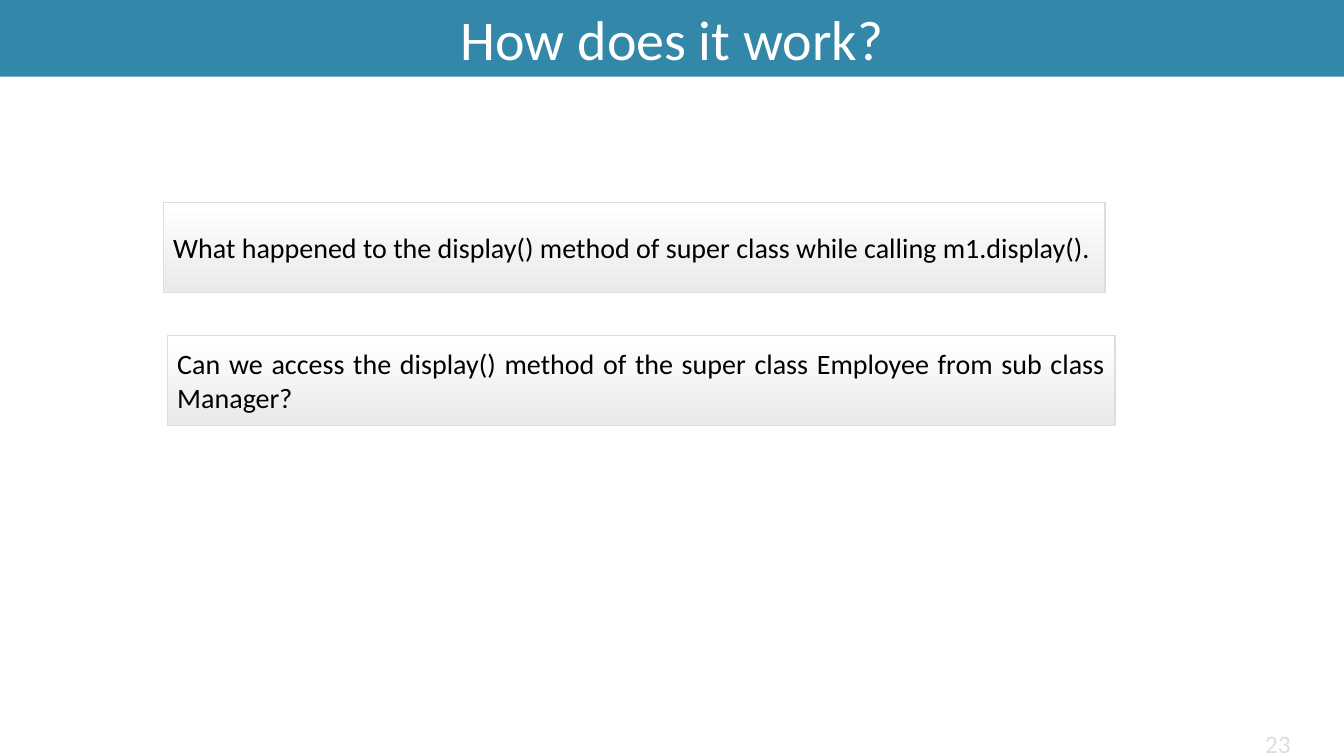
"""Build the slide asking how method overriding works."""
from dataclasses import dataclass

from pptx import Presentation
from pptx.dml.color import RGBColor
from pptx.enum.shapes import MSO_SHAPE
from pptx.enum.text import MSO_ANCHOR, PP_ALIGN
from pptx.shapes.autoshape import Shape
from pptx.slide import Slide
from pptx.util import Inches, Pt

RECTANGLE = MSO_SHAPE.RECTANGLE
MIDDLE = MSO_ANCHOR.MIDDLE
CENTER, JUSTIFY, RIGHT = PP_ALIGN.CENTER, PP_ALIGN.JUSTIFY, PP_ALIGN.RIGHT
BLANK_LAYOUT = 6
SLIDE_WIDTH, SLIDE_HEIGHT = 13.33, 7.5


@dataclass(frozen=True)
class Theme:
    font: str = "Calibri"
    banner: RGBColor = RGBColor(0x33, 0x88, 0xA9)
    title: RGBColor = RGBColor(0xFF, 0xFF, 0xFF)
    text: RGBColor = RGBColor(0x00, 0x00, 0x00)
    box_top: RGBColor = RGBColor(0xFF, 0xFF, 0xFF)
    box_bottom: RGBColor = RGBColor(0xEA, 0xEA, 0xEA)
    border: RGBColor = RGBColor(0xDD, 0xDD, 0xDD)
    title_size: int = 40
    text_size: int = 20
    number_size: int = 18


@dataclass(frozen=True)
class Label:
    text: str
    left: float
    top: float
    width: float
    height: float
    size: int
    color: RGBColor
    alignment: PP_ALIGN
    vertical_margin: float


THEME = Theme()


def question(text: str, left: float, top: float, width: float) -> Label:
    return Label(text, left, top, width, 0.89, THEME.text_size, THEME.text, JUSTIFY, 0.1)


TITLE = Label("How does it work?", 0, 0, SLIDE_WIDTH, 0.76,
              THEME.title_size, THEME.title, CENTER, 0.05)
NUMBER = Label("23", 11.9, 7.26, 1, 0.24, THEME.number_size, THEME.border, RIGHT, 0)
QUESTIONS = (
    question("What happened to the display() method of super class while calling m1.display().",
             1.62, 2.01, 9.34),
    question("Can we access the display() method of the super class Employee "
             "from sub class Manager?", 1.66, 3.33, 9.4),
)


def add_label(slide: Slide, label: Label) -> Shape:
    shape = slide.shapes.add_shape(RECTANGLE, Inches(label.left), Inches(label.top),
                                   Inches(label.width), Inches(label.height))
    shape.shadow.inherit = False
    shape.fill.background()
    shape.line.fill.background()
    frame = shape.text_frame
    frame.word_wrap = True
    frame.vertical_anchor = MIDDLE
    frame.margin_left = frame.margin_right = Inches(0.1)
    frame.margin_top = frame.margin_bottom = Inches(label.vertical_margin)
    frame.text = label.text
    paragraph = frame.paragraphs[0]
    paragraph.alignment = label.alignment
    font = paragraph.runs[0].font
    font.name = THEME.font
    font.size = Pt(label.size)
    font.color.rgb = label.color
    return shape


def add_question(slide: Slide, label: Label) -> None:
    shape = add_label(slide, label)
    shape.fill.gradient()
    shape.fill.gradient_angle = 270
    for stop, color in zip(shape.fill.gradient_stops, (THEME.box_top, THEME.box_bottom)):
        stop.color.rgb = color
    shape.line.color.rgb = THEME.border
    shape.line.width = Pt(1)


def main() -> None:
    presentation = Presentation()
    presentation.slide_width = Inches(SLIDE_WIDTH)
    presentation.slide_height = Inches(SLIDE_HEIGHT)
    slide = presentation.slides.add_slide(presentation.slide_layouts[BLANK_LAYOUT])
    for label in QUESTIONS:
        add_question(slide, label)
    banner = add_label(slide, TITLE)
    banner.fill.solid()
    banner.fill.fore_color.rgb = THEME.banner
    add_label(slide, NUMBER)
    presentation.save("out.pptx")


if __name__ == "__main__":
    main()
